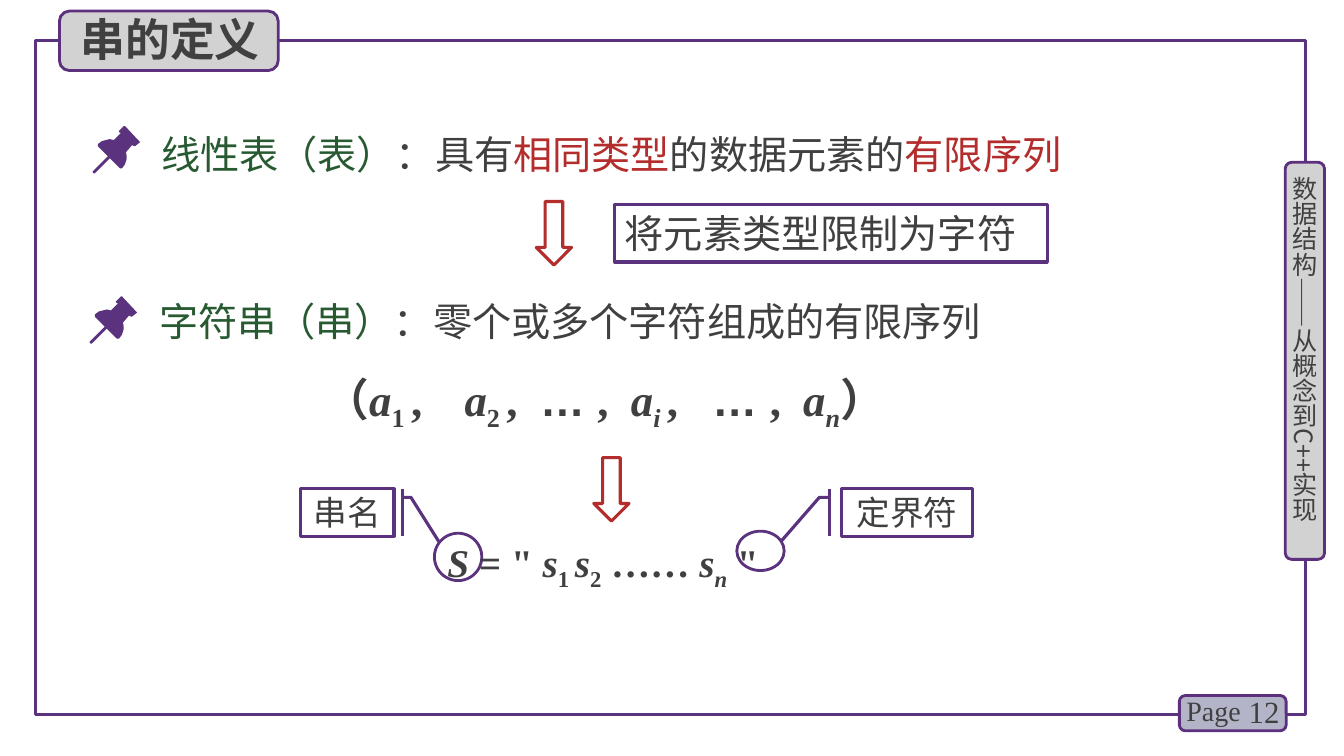
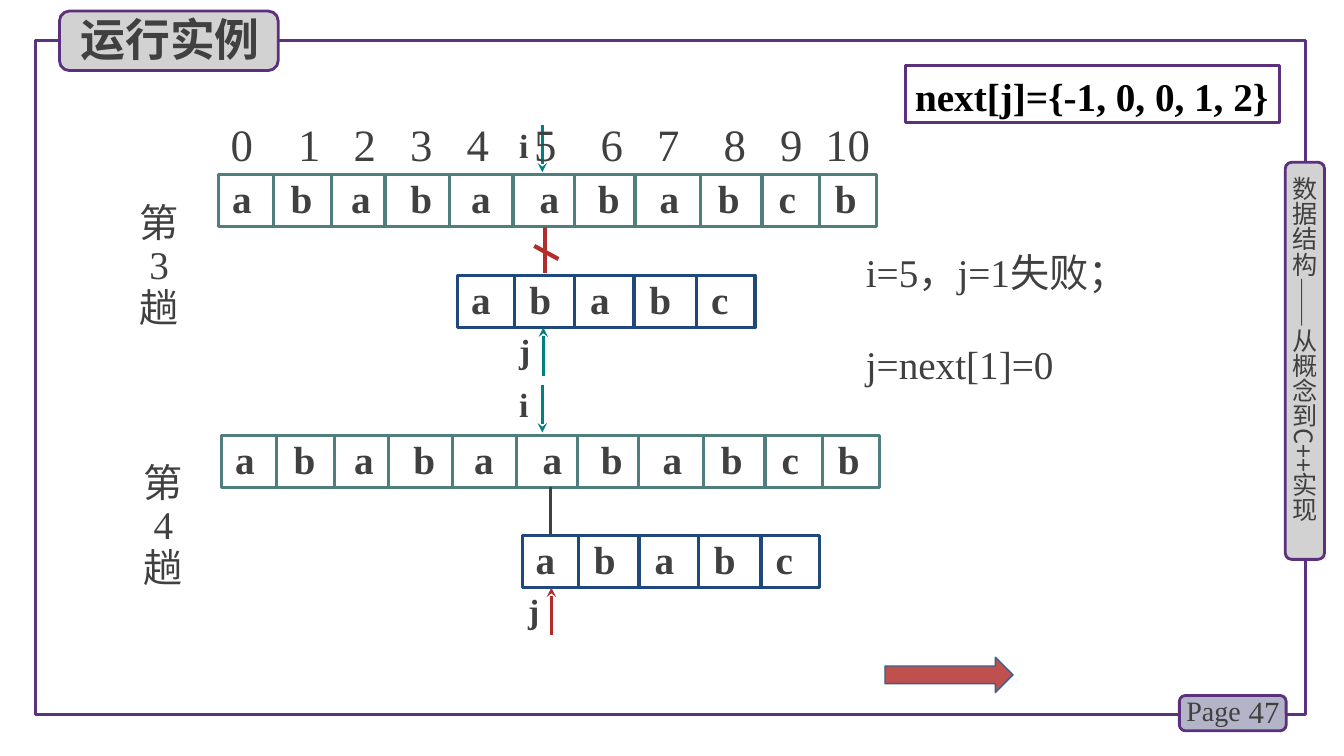
from typing import NamedTuple, Optional, Sequence

import pptx
import pptx.dml.color
import pptx.enum.shapes
import pptx.enum.text
import pptx.oxml
import pptx.oxml.ns
import pptx.util

CELL = 0.1  # inches per grid column and row
COLS, ROWS = 133.33, 75

INK, PURPLE, EDGE = "404040", "5A327D", "5C307D"
GRAY, LILAC, WHITE = "D2D2D2", "B4B4C8", "FFFFFF"
RED, GREEN, TEAL, SAGE, NAVY = "B42D2D", "285A32", "008080", "507D7D", "1F497D"
SERIF, SANS, ARIAL = "Times New Roman", "Noto Sans CJK SC", "Arial"

KIND = pptx.enum.shapes.MSO_SHAPE
ALIGN = pptx.enum.text.PP_ALIGN
ANCHOR = pptx.enum.text.MSO_ANCHOR
SUB = -25000

PIN_HEAD = [(4.1, 1.5), (2.7, 0), (2.6, 0), (2.1, 0.5), (2.1, 0.6), (2.3, 0.7),
            (1.6, 1.4), (1.2, 1.3), (0.8, 1.4), (0.4, 1.5), (0, 1.8), (0, 2),
            (2.2, 4.2), (2.4, 4.2), (2.7, 3.8), (2.85, 3.3), (2.85, 2.9),
            (2.8, 2.6), (3.4, 1.9), (3.6, 2), (3.7, 2), (4.2, 1.6)]
PIN_TIP = [(-0.4, 4.7), (-0.5, 4.6), (-0.5, 4.5), (1.1, 2.9), (1.3, 2.9),
           (1.3, 3.1), (-0.3, 4.7)]

STOPS = (1.9, 7.8, 13.7, 19.7, 25.6, 32.4, 38.3, 44.3, 50.2, 56, 61.8)
LONG = (5.4, 11.2, 16.5, 22.9, 29.2, 35.3, 41.3, 47.8, 53.9, 59.6)
SHORT = (5.6, 11.6, 17.5, 23.7)
DEEP = 5.2


class Box(NamedTuple):
    """Left, top, width and height in grid cells."""
    x: float
    y: float
    w: float
    h: float


class Run(NamedTuple):
    text: str
    ink: str = INK
    slant: bool = False
    base: int = 0
    font: Optional[str] = None


class Style(NamedTuple):
    size: float = 28
    font: str = SERIF
    bold: bool = False
    align: Optional[ALIGN] = None
    anchor: ANCHOR = ANCHOR.TOP
    inset: Sequence[float] = (1, 0.5, 1, 0.5)
    lead: Optional[float] = None
    gap: float = 0
    stops: Sequence[float] = ()
    mid: bool = False
    wrap: bool = True


class Strip(NamedTuple):
    """A row of letters in boxes, split at the given columns."""
    x: float
    y: float
    wide: float
    text: str
    ink: str
    cuts: Sequence[float]


class Mark(NamedTuple):
    """An index letter beside its arrow."""
    text: str
    x: float
    y: float
    start: Sequence[float]
    end: Sequence[float]
    ink: str


def size(cells: float) -> pptx.util.Emu:
    return pptx.util.Inches(cells * CELL)


def paint(target, ink: str) -> None:
    target.rgb = pptx.dml.color.RGBColor.from_string(ink)


def shape(slide, kind, box: Box, line: str = PURPLE, width: float = 2.25,
          fill: Optional[str] = None, turn: float = 0):
    item = slide.shapes.add_shape(kind, *map(size, box))
    item.shadow.inherit = False
    item.rotation = turn
    if fill:
        item.fill.solid()
        paint(item.fill.fore_color, fill)
    else:
        item.fill.background()
    paint(item.line.color, line)
    item.line.width = pptx.util.Pt(width)
    return item


def stroke(slide, start, end, ink: str, width: float = 2.25, arrow: bool = False) -> None:
    item = slide.shapes.add_connector(
        pptx.enum.shapes.MSO_CONNECTOR.STRAIGHT, *map(size, (*start, *end)))
    paint(item.line.color, ink)
    item.line.width = pptx.util.Pt(width)
    props = item.element.spPr
    if arrow:
        tip = pptx.oxml.parse_xml(
            f'<a:tailEnd {pptx.oxml.ns.nsdecls("a")} type="stealth"/>')
        props.find(pptx.oxml.ns.qn("a:ln")).append(tip)
    props.append(pptx.oxml.parse_xml(f'<a:effectLst {pptx.oxml.ns.nsdecls("a")}/>'))


def tabs(para, stops: Sequence[float], mid: bool) -> None:
    kind = "ctr" if mid else "l"
    inner = "".join(f'<a:tab pos="{size(stop)}" algn="{kind}"/>' for stop in stops)
    para._p.get_or_add_pPr().append(pptx.oxml.parse_xml(
        f'<a:tabLst {pptx.oxml.ns.nsdecls("a")}>{inner}</a:tabLst>'))


def write(item, lines: Sequence[Sequence[Run]], style: Style) -> None:
    frame = item.text_frame
    frame.word_wrap = style.wrap
    frame.vertical_anchor = style.anchor
    (frame.margin_left, frame.margin_top,
     frame.margin_right, frame.margin_bottom) = map(size, style.inset)
    for spot, runs in enumerate(lines):
        para = frame.add_paragraph() if spot else frame.paragraphs[0]
        para.alignment = style.align or ALIGN.LEFT
        if style.lead:
            para.line_spacing = style.lead
        if spot and style.gap:
            para.space_before = pptx.util.Pt(style.gap)
        if style.stops:
            tabs(para, style.stops, style.mid)
        for part in runs:
            run = para.add_run()
            run.text = part.text
            font = run.font
            font.size = pptx.util.Pt(style.size)
            font.name = part.font or style.font
            font.bold, font.italic = style.bold, part.slant
            paint(font.color, part.ink)
            props = run._r.get_or_add_rPr()
            if part.base:
                props.set("baseline", str(part.base))
            props.find(pptx.oxml.ns.qn("a:latin")).addnext(pptx.oxml.parse_xml(
                f'<a:ea {pptx.oxml.ns.nsdecls("a")} typeface="{SANS}"/>'))


def label(slide, box: Box, lines: Sequence[Sequence[Run]], style: Style = Style()):
    item = slide.shapes.add_textbox(*map(size, box))
    write(item, lines, style)
    return item


def begin(deck, title: str, page: int):
    """Add a slide with the frame, side band, page tag and title."""
    slide = deck.slides.add_slide(deck.slide_layouts[6])
    slide.background.fill.solid()
    paint(slide.background.fill.fore_color, WHITE)
    shape(slide, KIND.RECTANGLE, Box(3.5, 4, 126, 66.9))
    for box, fill in ((Box(117, 69, 10.6, 3.5), LILAC),
                      (Box(127.5, 16.1, 3.9, 39.4), GRAY),
                      (Box(5.9, 1.1, 21.7, 5.9), GRAY)):
        shape(slide, KIND.ROUNDED_RECTANGLE, box, EDGE, 2, fill)
    label(slide, Box(122, 68.6, 5.9, 4), [[Run(str(page))]],
          Style(22, align=ALIGN.RIGHT, anchor=ANCHOR.MIDDLE))
    label(slide, Box(116.7, 68.3, 7.8, 4.4), [[Run("Page")]], Style(20))
    band = label(slide, Box(127.9, 17.5, 3, 37.8), [[Run("数据结构——从概念到C++实现")]],
                 Style(18, SANS, inset=(0, 0, 0, 0)))
    band.element.txBody.bodyPr.set("vert", "eaVert")
    label(slide, Box(7, 0.7, 20.9, 6.4), [[Run(title)]], Style(32, SANS, True))
    return slide


def pin(slide, x: float, y: float) -> None:
    for part in (PIN_HEAD, PIN_TIP):
        spots = [(size(x + dx), size(y + dy)) for dx, dy in part]
        path = slide.shapes.build_freeform(*spots[0])
        path.add_line_segments(spots[1:], close=True)
        item = path.convert_to_shape()
        item.shadow.inherit = False
        item.fill.solid()
        paint(item.fill.fore_color, PURPLE)
        item.line.fill.background()


def callout(slide, box: Box, text: str, bends: Sequence[float], flip: bool) -> None:
    item = shape(slide, KIND.LINE_CALLOUT_2_BORDER_AND_ACCENT_BAR, box)
    for spot, bend in enumerate(bends):
        item.adjustments[spot] = bend
    if flip:
        item.element.spPr.xfrm.set("flipH", "1")
    write(item, [[Run(text)]], Style(24, SANS, align=ALIGN.CENTER, anchor=ANCHOR.MIDDLE))


def strip(slide, row: Strip) -> None:
    item = shape(slide, KIND.RECTANGLE, Box(row.x, row.y, row.wide, DEEP), row.ink)
    text = "".join("\t" + letter for letter in row.text)
    write(item, [[Run(text)]],
          Style(bold=True, inset=(0.4, 0, 0.2, 0), stops=STOPS[:len(row.text)], mid=True))
    for cut in row.cuts:
        stroke(slide, (row.x + cut, row.y), (row.x + cut, row.y + DEEP), row.ink)


def define(deck) -> None:
    slide = begin(deck, "串的定义", 12)
    note = shape(slide, KIND.RECTANGLE, Box(61, 20.3, 42.9, 5.7))
    write(note, [[Run("将元素类型限制为字符")]], Style())
    for x, y in ((51.8, 21.4), (57.5, 46.8)):
        shape(slide, KIND.RIGHT_ARROW, Box(x, y, 6.3, 3.5), RED, turn=90)
    label(slide, Box(15, 12.4, 95.3, 5.7), [[
        Run("线性表（表）", GREEN), Run("：具有"), Run("相同类型", RED),
        Run("的数据元素的"), Run("有限序列", RED)]])
    label(slide, Box(14.8, 29, 95.3, 5.7), [[
        Run("字符串（串）", GREEN, font=SANS), Run("：零个或多个字符组成的有限序列")]])
    pin(slide, 9.7, 12.5)
    pin(slide, 9.4, 29.4)

    comma, dots = Run(",\t"), Run("… ", font=ARIAL)
    var = Run("a", slant=True)
    label(slide, Box(31.2, 36.4, 67.7, 6.4), [[
        Run("（"), var, Run("1 ", base=SUB), comma, var, Run("2 ", base=SUB), comma,
        dots, comma, var, Run("i ", slant=True, base=SUB), comma, dots, comma,
        var, Run("n", slant=True, base=SUB), Run("）")]],
        Style(32, bold=True, stops=(13.9, 21.4, 30.4, 38.5, 47.5)))

    for box in (Box(43.1, 52.9, 4.7, 4.7), Box(73.1, 52.7, 4.7, 3.9)):
        shape(slide, KIND.OVAL, box, width=2)
    char = Run("s", slant=True)
    label(slide, Box(43.4, 52.4, 42.9, 5.8), [[
        Run("S ", slant=True), Run('= " '), char, Run("1 ", base=SUB), char,
        Run("2", base=SUB), Run(" …… "), char, Run("n", slant=True, base=SUB),
        Run(' "')]], Style(bold=True, lead=1.1))
    callout(slide, Box(29.8, 48.5, 9.3, 4.7), "串名",
            (0.18, -0.09, 0.18, -0.18, 1.12, -0.48), True)
    callout(slide, Box(83.5, 48.5, 13, 4.7), "定界符",
            (0.18, -0.09, 0.18, -0.17, 1.1, -0.46), False)


def trace(deck) -> None:
    slide = begin(deck, "运行实例", 47)
    whole, part = "ababaababcb", "ababc"
    for row in (Strip(21.7, 17.3, 65.3, whole, SAGE, LONG),
                Strip(45.4, 27.3, 29.5, part, NAVY, SHORT),
                Strip(22, 43.2, 65.3, whole, SAGE, LONG),
                Strip(51.8, 53.1, 29.5, part, NAVY, SHORT)):
        strip(slide, row)
    for x, y, count in ((12.8, 19.7, "3"), (13.2, 45.5, "4")):
        label(slide, Box(x, y, 6, 13.6), [[Run(word)] for word in ("第", count, "趟")],
              Style(align=ALIGN.CENTER, lead=0.9))
    label(slide, Box(85.9, 24.6, 27, 10.5),
          [[Run("i=5，j=1失败；")], [Run("j=next[1]=0")]],
          Style(inset=(0, 0, 0, 0), gap=32))

    stroke(slide, (54.1, 22.5), (54.1, 27.1), RED, 3)
    stroke(slide, (53, 24.4), (55.4, 25.7), RED, 3)
    stroke(slide, (54.6, 48.3), (54.6, 53.1), INK)
    for mark in (Mark("i", 51.5, 11.9, (53.8, 12.4), (53.8, 17.1), TEAL),
                 Mark("j", 51.5, 32.2, (53.9, 37.3), (53.9, 32.5), TEAL),
                 Mark("i", 51.5, 37.6, (53.8, 38.2), (53.8, 42.9), TEAL),
                 Mark("j", 52.4, 58, (54.7, 63), (54.7, 58.3), RED)):
        stroke(slide, mark.start, mark.end, mark.ink, arrow=True)
        label(slide, Box(mark.x, mark.y, 2.5, 5), [[Run(mark.text)]],
              Style(24, bold=True, inset=(0, 0.5, 0, 0.5)))

    table = shape(slide, KIND.RECTANGLE, Box(89.8, 6.5, 37.1, 5.7), EDGE)
    write(table, [[Run("next[j]={-1, 0, 0, 1, 2}", "000000")]],
          Style(bold=True, lead=pptx.util.Pt(35), wrap=False))
    label(slide, Box(22, 12.3, 76, 5.2),
          [[Run("".join(f"\t{spot}" for spot in range(len(whole))))]],
          Style(32, lead=pptx.util.Pt(30), inset=(0, 0.5, 0, 0.5), mid=True,
                stops=(2, 8.7, 14.2, 19.8, 25.4, 32.1, 38.7, 44.3, 50.9, 56.5, 62.1)))
    shape(slide, KIND.RIGHT_ARROW, Box(87.8, 65.2, 12.7, 3.5), "3A5F8C", 1, "C0504D")


def main() -> None:
    deck = pptx.Presentation()
    deck.slide_width, deck.slide_height = size(COLS), size(ROWS)
    define(deck)
    trace(deck)
    deck.save("out.pptx")


if __name__ == "__main__":
    main()
